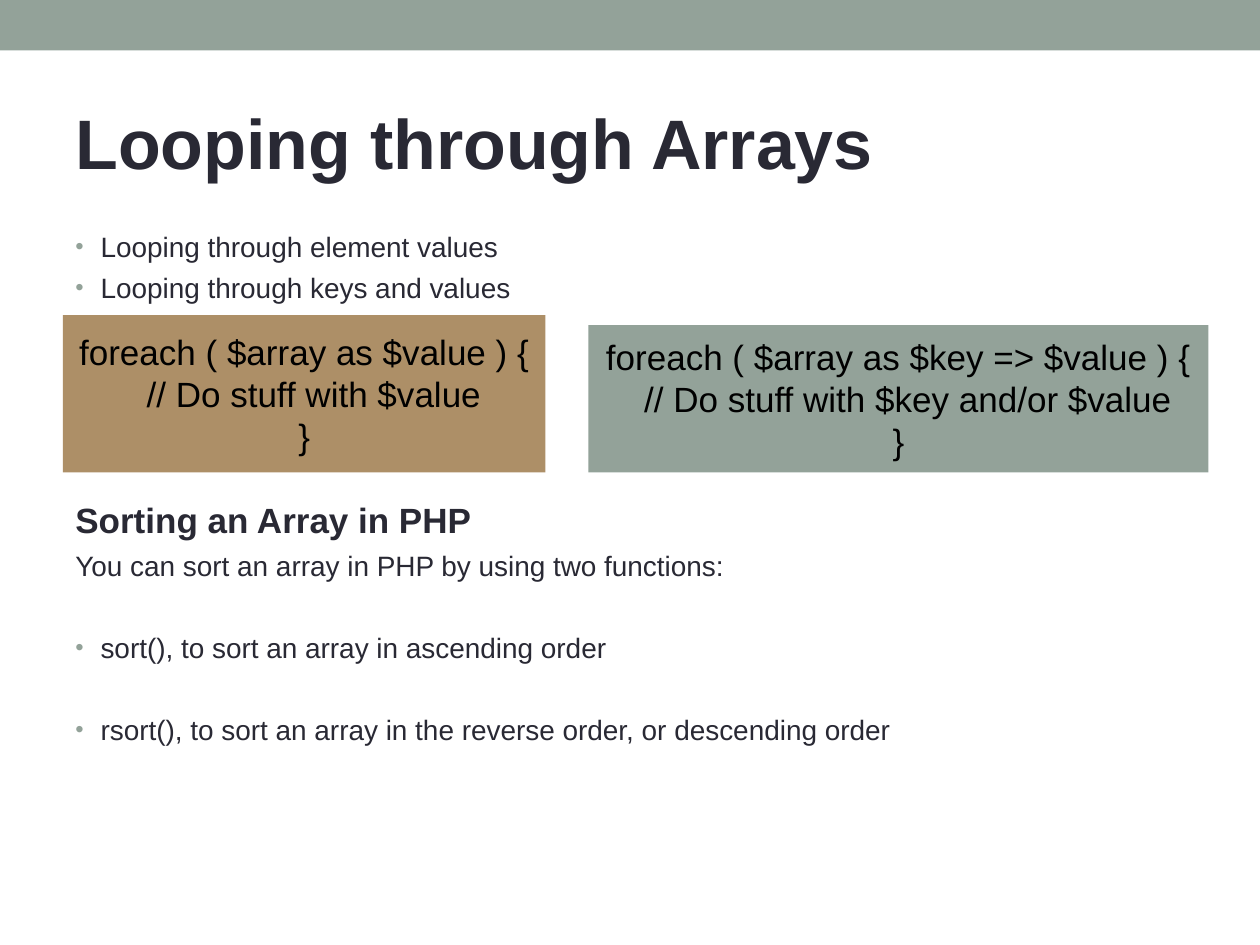
from lxml import etree
from pptx import Presentation, util as u
from pptx.dml.color import RGBColor
from pptx.enum import shapes, text
from pptx.oxml.ns import qn

# Content
COLORS = {"sage": "93A299", "tan": "AD8F67", "ink": "292934", "code": "000000"}
FONT = "Arial"
TITLE = "Looping through Arrays"
# text, size, bold, bulleted, space before in points
BODY = [
    ("Looping through element values", 16, False, True, 0),
    ("Looping through keys and values", 16, False, True, 4.6),
    ("Sorting an Array in PHP", 20, True, False, 111),
    ("You can sort an array in PHP by using two functions:", 16, False, False, 4.6),
    ("sort(), to sort an array in ascending order", 16, False, True, 27.6),
    ("rsort(), to sort an array in the reverse order, or descending order",
     16, False, True, 27.6),
]
# fill, left, width, height, lines
SNIPPETS = [
    ("tan", 0.5, 3.83, 1.25,
     ["foreach ( $array as $value ) {", "  // Do stuff with $value", "}"]),
    ("sage", 4.67, 4.92, 1.17,
     ["foreach ( $array as $key => $value ) {",
      "  // Do stuff with $key and/or $value", "}"]),
]

# Layout, in inches
WIDTH, HEIGHT = 10, 7.5
MARGIN = WIDTH * 0.05
BAND_HEIGHT = 0.4
SNIPPET_BOTTOM = HEIGHT / 2
INDENT = 0.2

prs = Presentation()
prs.slide_width, prs.slide_height = u.Inches(WIDTH), u.Inches(HEIGHT)
slide = prs.slides.add_slide(prs.slide_layouts[6])


def color(name):
    return RGBColor.from_string(COLORS[name])


def add_block(left, top, width, height, fill):
    block = slide.shapes.add_shape(
        shapes.MSO_SHAPE.RECTANGLE, *map(u.Inches, (left, top, width, height)))
    block.shadow.inherit = False
    block.fill.solid()
    block.fill.fore_color.rgb = color(fill)
    block.line.fill.background()
    return block


def add_frame(top, height):
    frame = slide.shapes.add_textbox(*map(
        u.Inches, (MARGIN, top, WIDTH - 2 * MARGIN, height))).text_frame
    frame.word_wrap = True
    return frame


def write(frame, index, words, size, ink, bold=False):
    line = frame.paragraphs[0] if index == 0 else frame.add_paragraph()
    line.text = words
    line.font.name, line.font.size, line.font.bold = FONT, u.Pt(size), bold
    line.font.color.rgb = color(ink)
    return line


def add_bullet(line):
    props = line._p.get_or_add_pPr()
    props.set("marL", str(u.Inches(INDENT)))
    props.set("indent", str(-u.Inches(INDENT)))
    tint = etree.Element(qn("a:buClr"))
    etree.SubElement(tint, qn("a:srgbClr"), val=COLORS["sage"])
    bullet = [tint,
              etree.Element(qn("a:buSzPct"), val="85000"),
              etree.Element(qn("a:buFont"), typeface=FONT),
              etree.Element(qn("a:buChar"), char="•")]
    defaults = props.find(qn("a:defRPr"))
    for part in bullet:
        defaults.addprevious(part)


# Top band and title
add_block(0, 0, WIDTH, BAND_HEIGHT, "sage")
title = add_frame(0.58, 1.08)
title.vertical_anchor = text.MSO_ANCHOR.MIDDLE
write(title, 0, TITLE, 40, "ink", bold=True)

# Body, with room left for the snippets
body = add_frame(1.75, 5.33)
body.margin_top = u.Inches(0.07)
for index, (words, size, bold, bulleted, gap) in enumerate(BODY):
    line = write(body, index, words, size, "ink", bold)
    line.space_before = u.Pt(gap)
    if bulleted:
        add_bullet(line)

# Code snippets, aligned at the bottom
for fill, left, width, height, code in SNIPPETS:
    frame = add_block(left, SNIPPET_BOTTOM - height, width, height, fill).text_frame
    frame.word_wrap = False
    frame.vertical_anchor = text.MSO_ANCHOR.MIDDLE
    for index, words in enumerate(code):
        write(frame, index, words, 20, "code").alignment = text.PP_ALIGN.CENTER

prs.save("out.pptx")
